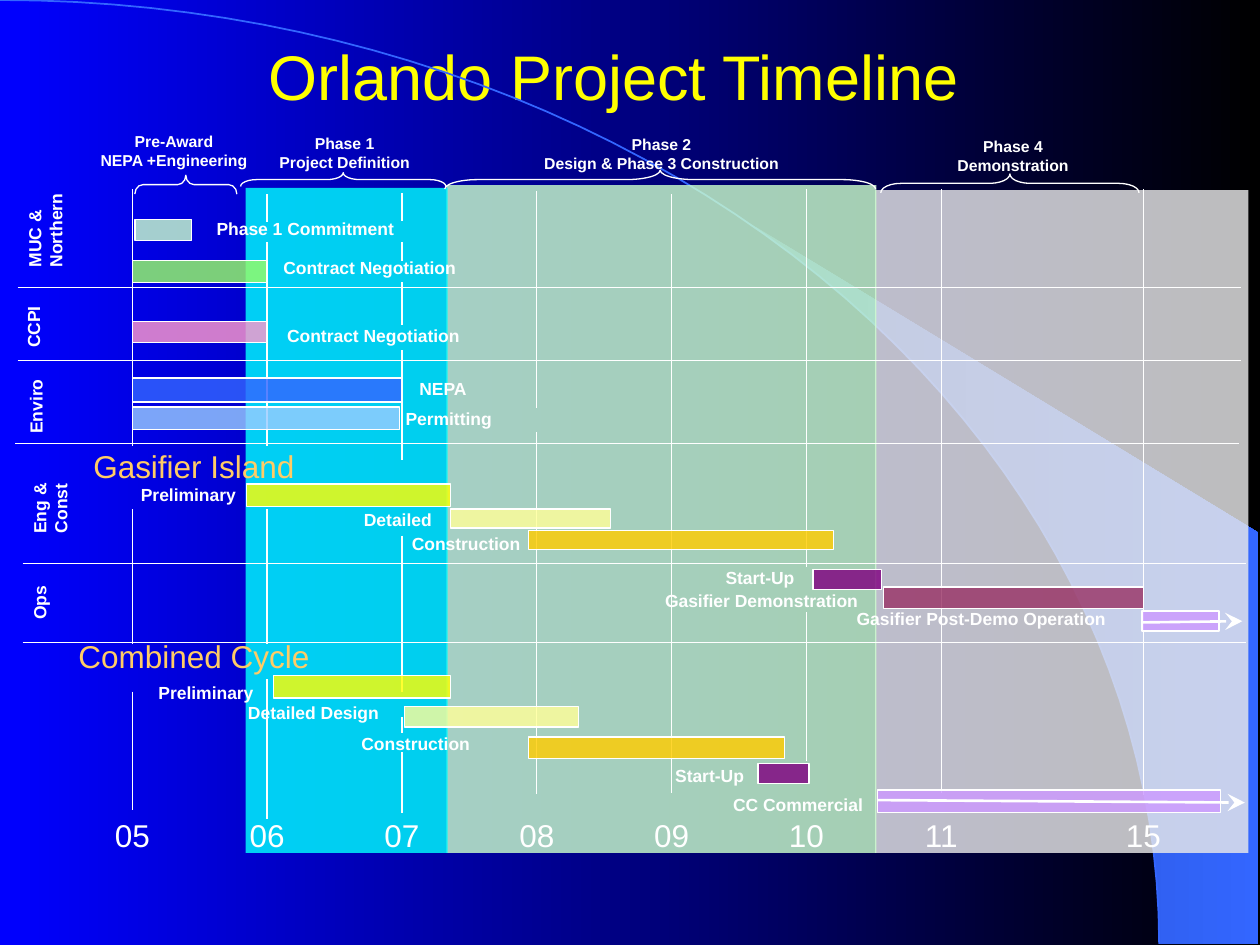
"""Build the project timeline slide: phases, year grid, task bars and labels."""
import math

from lxml import etree
from pptx import Presentation
from pptx import util as u
from pptx.dml.color import RGBColor
from pptx.enum import shapes, text
from pptx.oxml.ns import qn

WIDTH, HEIGHT = 10, 7.5
FIRST_YEAR, YEAR_PITCH = 1.05, 1.07
COLORS = {
    "blue": "0000FF", "black": "000000", "deep": "2449B6", "azure": "3366FF",
    "title": "FFFF00", "section": "FFCC66", "white": "FFFFFF", "grey": "EAEAEA",
    "mint": "CCFFCC", "cyan": "00FFFF", "green": "99FF66", "pink": "FF99CC",
    "sky": "99CCFF", "yellow": "FFFF00", "cream": "FFFF99", "gold": "FFCC00",
    "purple": "800080", "plum": "993366", "lilac": "CC99FF",
}
YEARS = {"05": 0, "06": 1, "07": 2, "08": 3, "09": 4, "10": 5, "11": 6, "15": 7.5}

# color, first column, last column, top
PHASES = [("grey", 5.51, 8.28, 1.51), ("mint", 2.33, 5.52, 1.47), ("cyan", 0.84, 2.34, 1.49)]
PHASE_BOTTOM = 6.77

# heading, left, top, width, then brace left, right, top, bottom, curl
HEADINGS = [
    ("Pre-Award\nNEPA +Engineering", 0.64, 1, 1.48, 1.07, 1.88, 1.39, 1.54, 0.43),
    ("Phase 1\nProject Definition", 2.03, 1.01, 1.41, 1.91, 3.54, 1.37, 1.48, 1.18),
    ("Phase 2\nDesign & Phase 3 Construction", 4.15, 1.02, 2.2, 3.53, 6.95, 1.35, 1.5, 1.78),
    ("Phase 4\nDemonstration", 7.44, 1.04, 1.2, 6.99, 9.04, 1.38, 1.53, 1.07),
]

# year column: vertical stretches as (top, bottom)
YEAR_LINES = {
    0: [(1.5, 3.54), (4.04, 5.11), (5.49, 6.43)],
    1: [(1.54, 1.76), (1.92, 3.54), (4.04, 5.11), (5.39, 6.5)],
    2: [(1.53, 1.75), (1.92, 2.07), (2.24, 2.58), (2.78, 3.65), (4.25, 5.49),
        (5.69, 5.82), (5.97, 6.45)],
    3: [(1.52, 3.24), (3.43, 6.3)],
    4: [(1.54, 6.29)],
    5: [(1.5, 4.5), (4.86, 6.04)],
    6: [(1.5, 6.29)],
    7.5: [(1.5, 6.31)],
}
ROW_LINES = [(0.14, 2.28), (0.14, 2.86), (0.12, 3.52), (0.18, 4.47), (0.18, 5.1)]
ROW_LENGTH = 9.71

# label, label left, top, width, then bar color, first column, last column, top, height
TASKS = [
    ("Phase 1 Commitment", 1.62, 1.68, 1.61, "mint", 0.02, 0.44, 1.74, 0.17),
    ("Contract Negotiation", 2.15, 1.99, 1.58, "green", 0, 1, 2.07, 0.17),
    ("Contract Negotiation", 2.18, 2.53, 1.58, "pink", 0, 1, 2.55, 0.17),
    ("NEPA", 3.23, 2.95, 0.59, "azure", 0, 2, 3, 0.19),
    ("Permitting", 3.12, 3.19, 0.89, "sky", 0, 1.98, 3.23, 0.18),
    ("Preliminary", 1.02, 3.79, 0.96, "yellow", 0.85, 2.36, 3.84, 0.18),
    ("Detailed", 2.79, 3.99, 0.74, "cream", 2.36, 3.55, 4.04, 0.15),
    ("Construction", 3.17, 4.18, 1.07, "gold", 2.94, 5.2, 4.21, 0.15),
    ("Start-Up", 5.66, 4.45, 0.75, "purple", 5.05, 5.56, 4.52, 0.16),
    ("Gasifier Demonstration", 5.18, 4.63, 1.73, "plum", 5.57, 7.5, 4.66, 0.17),
    ("Gasifier Post-Demo Operation", 6.7, 4.78, 2.18, "lilac", 7.49, 8.06, 4.85, 0.16),
    ("Preliminary", 1.16, 5.36, 0.96, "yellow", 1.05, 2.36, 5.36, 0.18),
    ("Detailed Design", 1.87, 5.52, 1.24, "cream", 2.02, 3.31, 5.61, 0.16),
    ("Construction", 2.77, 5.77, 1.07, "gold", 2.94, 4.84, 5.85, 0.17),
    ("Start-Up", 5.26, 6.02, 0.75, "purple", 4.64, 5.02, 6.06, 0.16),
    ("CC Commercial", 5.72, 6.25, 1.23, "lilac", 5.53, 8.07, 6.27, 0.18),
]
ARROWS = [((9.06, 4.94), (9.86, 4.93)), ((6.97, 6.35), (9.88, 6.37))]

# name, left, top, width, height, centred
ROW_NAMES = [
    ("MUC &\nNorthern", -0.05, 1.6, 0.81, 0.43, False),
    ("CCPI", 0, 2.46, 0.53, 0.27, False),
    ("Enviro", -0.03, 3.09, 0.63, 0.27, False),
    ("Eng &\vConst", 0.05, 3.82, 0.69, 0.43, True),
    ("Ops", 0.08, 4.65, 0.47, 0.27, True),
]
SECTIONS = [("Gasifier Island", 3.54), ("Combined Cycle", 5.05)]


def column(year):
    """Return the horizontal place of a year column in inches."""
    return FIRST_YEAR + year * YEAR_PITCH


def color(name):
    """Return a named color."""
    return RGBColor.from_string(COLORS[name])


def inches(*values):
    """Turn numbers into lengths."""
    return [u.Inches(value) for value in values]


def paint(fill, first, last):
    """Fill with a gradient that runs from left to right."""
    fill.gradient()
    fill.gradient_angle = 0
    for stop, name in zip(fill.gradient_stops, (first, last)):
        stop.color.rgb = color(name)


def write(box, words, size, name="white", bold=False, centred=True):
    """Put formatted text into a box."""
    box.text_frame.text = words
    values = {"size": u.Pt(size), "bold": bold, "name": "Arial"}
    for para in box.text_frame.paragraphs:
        para.alignment = text.PP_ALIGN.CENTER if centred else text.PP_ALIGN.LEFT
        for span in para.runs:
            span.font.color.rgb = color(name)
            for key, value in values.items():
                setattr(span.font, key, value)


def add_label(page, words, place, size=10, turn=0, **look):
    """Add a one-piece text box that hugs its text."""
    box = page.shapes.add_textbox(*inches(*place))
    box.rotation = turn
    box.text_frame.word_wrap = False
    box.text_frame.auto_size = text.MSO_AUTO_SIZE.SHAPE_TO_FIT_TEXT
    write(box, words, size, **look)


def add_block(page, name, first, last, top, height, outlined=True):
    """Add a see-through rectangle between two year columns."""
    place = inches(column(first), top, column(last) - column(first), height)
    block = page.shapes.add_shape(shapes.MSO_SHAPE.RECTANGLE, *place)
    block.shadow.inherit = False
    block.fill.solid()
    block.fill.fore_color.rgb = color(name)
    tint = block.fill._xPr.find(".//" + qn("a:srgbClr"))
    etree.SubElement(tint, qn("a:alpha")).set("val", "81000")
    if outlined:
        block.line.color.rgb = color("white")
        block.line.width = u.Pt(0.75)
    else:
        block.line.fill.background()


def add_line(page, start, end, width=0.75, arrow=False):
    """Add a white line, with an arrowhead at its end if wanted."""
    line = page.shapes.add_connector(shapes.MSO_CONNECTOR.STRAIGHT, *inches(*start, *end))
    line.line.color.rgb = color("white")
    line.line.width = u.Pt(width)
    if arrow:
        head = etree.SubElement(line.line._get_or_add_ln(), qn("a:tailEnd"))
        for key, value in {"type": "stealth", "w": "lg", "len": "lg"}.items():
            head.set(key, value)
    etree.SubElement(line._element.spPr, qn("a:effectLst"))


def add_brace(page, left, right, top, bottom, curl):
    """Add a brace that lies over a phase and points up."""
    length, depth = right - left, bottom - top
    place = inches((left + right - depth) / 2, (top + bottom - length) / 2, depth, length)
    brace = page.shapes.add_shape(shapes.MSO_SHAPE.RIGHT_BRACE, *place)
    brace.rotation = 270
    brace.adjustments[0] = curl
    brace.shadow.inherit = False
    brace.fill.background()
    brace.line.color.rgb = color("white")
    brace.line.width = u.Pt(0.75)


def arc(start, steps=48):
    """Return points of the quarter ellipse from an angle to its lower end."""
    angles = [start + (math.pi / 2 - start) * step / steps for step in range(steps + 1)]
    return [inches(9.2 * math.sin(a), 7.49 * (1 - math.cos(a))) for a in angles]


def add_outline(page, points, close):
    """Add a freeform through the points."""
    builder = page.shapes.build_freeform(*points[0])
    builder.add_line_segments(points[1:], close=close)
    outline = builder.convert_to_shape()
    outline.shadow.inherit = False
    return outline


def add_backdrop(page):
    """Add the background gradient, the light fan and the large curve."""
    paint(page.background.fill, "blue", "black")
    fan = add_outline(page, arc(0.695) + [inches(9.99, 7.49), inches(9.99, 4.23)], True)
    paint(fan.fill, "deep", "azure")
    fan.line.fill.background()
    curve = add_outline(page, arc(0), False)
    curve.fill.background()
    curve.line.color.rgb = color("azure")
    curve.line.width = u.Pt(1)


def add_title(page):
    """Move and format the title placeholder."""
    title = page.shapes.title
    for key, value in zip(("left", "top", "width", "height"), inches(2, 0, 5.74, 1.19)):
        setattr(title, key, value)
    title.text_frame.vertical_anchor = text.MSO_ANCHOR.MIDDLE
    title.text_frame.auto_size = text.MSO_AUTO_SIZE.NONE
    write(title, "Orlando Project Timeline", 36, "title")


def add_grid(page):
    """Add the phases, the year and row lines, and the year labels."""
    for name, first, last, top in PHASES:
        add_block(page, name, first, last, top, PHASE_BOTTOM - top, outlined=False)
    for year, stretches in YEAR_LINES.items():
        for top, bottom in stretches:
            add_line(page, (column(year), top), (column(year), bottom))
    for left, top in ROW_LINES:
        add_line(page, (left, top), (left + ROW_LENGTH, top))
    for year, place in YEARS.items():
        add_label(page, year, (column(place) - 0.24, 6.43, 0.48, 0.4), 18)


def main():
    """Build and save the slide."""
    deck = Presentation()
    deck.slide_width, deck.slide_height = inches(WIDTH, HEIGHT)
    page = deck.slides.add_slide(deck.slide_layouts[5])
    add_backdrop(page)
    add_title(page)
    add_grid(page)
    for task in TASKS:
        add_block(page, *task[4:])
    for start, end in ARROWS:
        add_line(page, start, end, 1.5, arrow=True)
    for words, left, top, width, *_ in TASKS:
        add_label(page, words, (left, top, width, 0.27), bold=True, centred=False)
    for words, left, top, width, *brace in HEADINGS:
        add_label(page, words, (left, top, width, 0.4), 9, bold=True)
        add_brace(page, *brace)
    for words, *place, centred in ROW_NAMES:
        add_label(page, words, place, turn=270, bold=True, centred=centred)
    for words, top in SECTIONS:
        box = page.shapes.add_textbox(*inches(0.01, top, 3.06, 0.31))
        box.text_frame.word_wrap = True
        box.text_frame.vertical_anchor = text.MSO_ANCHOR.MIDDLE
        write(box, words, 18, "section")
    deck.save("out.pptx")


if __name__ == "__main__":
    main()
